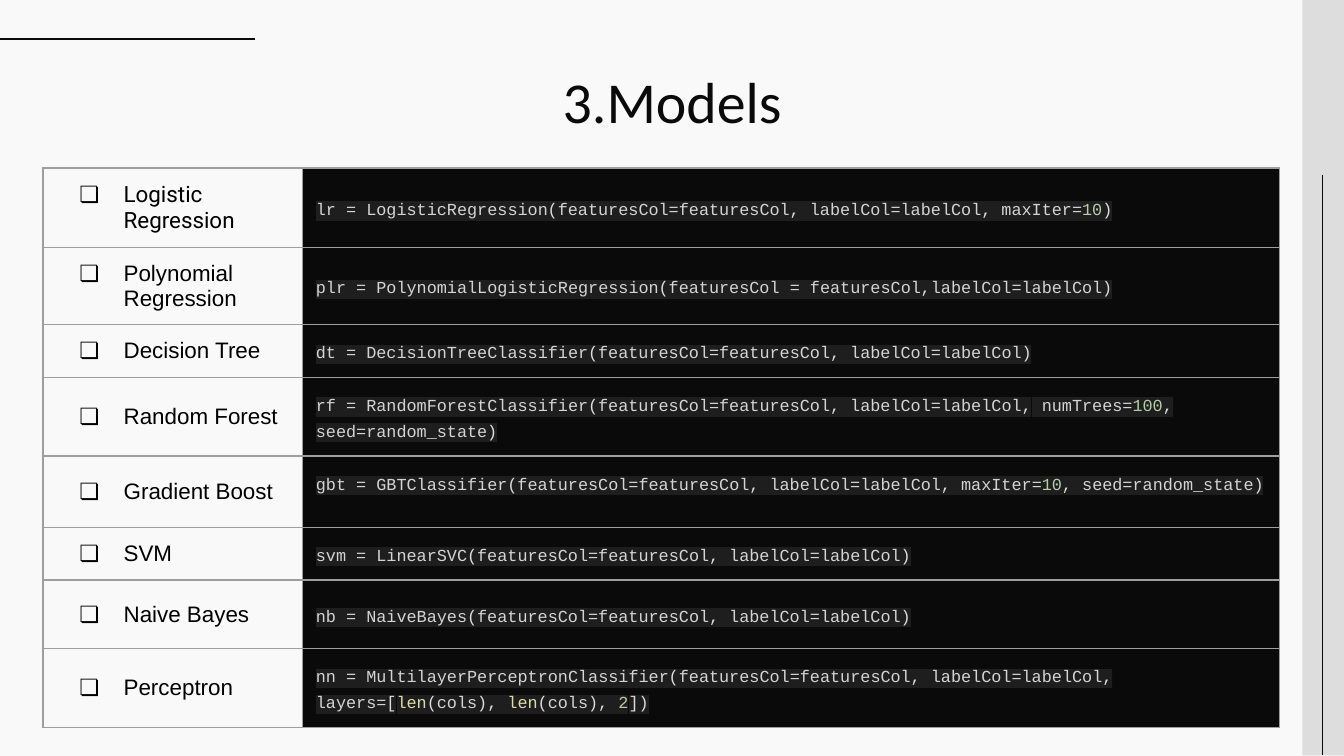
import itertools

import pptx
import pptx.dml.color
import pptx.enum.shapes
import pptx.enum.text
import pptx.oxml
import pptx.util

Inches = pptx.util.Inches
Anchor = pptx.enum.text.MSO_ANCHOR
NS = 'xmlns:a="http://schemas.openxmlformats.org/drawingml/2006/main"'

INK, BLACK, PALE, BAND, RULE = "0A0A0A", "000000", "F9F9F9", "DDDDDD", "9E9E9E"
CODE, MARK, NUMBER, CALL, SHADE = "D4D4D4", "DCDCDC", "B5CEA8", "DCDCAA", "1E1E1E"

# label, code, row height
MODELS = [
    ("Logistic Regression",
     "lr = LogisticRegression(featuresCol=featuresCol, labelCol=labelCol, maxIter=10)", 0.59),
    ("Polynomial Regression",
     "plr = PolynomialLogisticRegression(featuresCol = featuresCol,labelCol=labelCol)", 0.57),
    ("Decision Tree",
     "dt = DecisionTreeClassifier(featuresCol=featuresCol, labelCol=labelCol)", 0.39),
    ("Random Forest",
     "rf = RandomForestClassifier(featuresCol=featuresCol, labelCol=labelCol, "
     "numTrees=100, seed=random_state)", 0.58),
    ("Gradient Boost",
     "gbt = GBTClassifier(featuresCol=featuresCol, labelCol=labelCol, "
     "maxIter=10, seed=random_state)", 0.53),
    ("SVM", "svm = LinearSVC(featuresCol=featuresCol, labelCol=labelCol)", 0.39),
    ("Naive Bayes", "nb = NaiveBayes(featuresCol=featuresCol, labelCol=labelCol)", 0.51),
    ("Perceptron",
     "nn = MultilayerPerceptronClassifier(featuresCol=featuresCol, labelCol=labelCol, "
     "layers=[len(cols), len(cols), 2])", 0.58),
]


def color(value):
    return pptx.dml.color.RGBColor.from_string(value)


def node(xml):
    """Parse one element whose root opens with {ns}."""
    return pptx.oxml.parse_xml(xml.replace("{ns}", NS))


def kind(char):
    """Colour of a code character."""
    if char in "(),[]":
        return MARK
    return NUMBER if char.isdigit() else CODE


def tokens(code):
    """Split code into (text, colour) pieces."""
    for hue, chars in itertools.groupby(code, kind):
        text = "".join(chars)
        yield text, CALL if text.strip() == "len" else hue


class Deck:
    def __init__(self):
        self.show = pptx.Presentation()
        self.show.slide_width = Inches(10)
        self.show.slide_height = Inches(10) * 9 // 16
        self.slide = self.show.slides.add_slide(self.show.slide_layouts[5])
        self.slide.background.fill.solid()
        self.slide.background.fill.fore_color.rgb = color(PALE)

    def run(self, para, text, face, size, hue):
        run = para.add_run()
        run.text = text
        run.font.name = face
        run.font.size = pptx.util.Pt(size)
        run.font.color.rgb = color(hue)
        return run

    def title(self, text, left, top, width, height):
        title = self.slide.shapes.title
        title.left, title.top = Inches(left), Inches(top)
        title.width, title.height = Inches(width), Inches(height)
        frame = title.text_frame
        frame.auto_size = pptx.enum.text.MSO_AUTO_SIZE.NONE
        frame.vertical_anchor = Anchor.TOP
        frame.margin_left = frame.margin_right = Inches(0.1)
        frame.margin_top = frame.margin_bottom = Inches(0.1)
        para = frame.paragraphs[0]
        para.alignment = pptx.enum.text.PP_ALIGN.CENTER
        self.run(para, text, "Calibri", 31, INK)

    def band(self, left, top, width, height):
        box = self.slide.shapes.add_shape(
            pptx.enum.shapes.MSO_SHAPE.RECTANGLE,
            Inches(left), Inches(top), Inches(width), Inches(height))
        box.shadow.inherit = False
        box.fill.solid()
        box.fill.fore_color.rgb = color(BAND)
        box.line.fill.background()

    def line(self, *ends):
        line = self.slide.shapes.add_connector(
            pptx.enum.shapes.MSO_CONNECTOR.STRAIGHT, *map(Inches, ends))
        line.line.color.rgb = color(INK)
        line.line.width = pptx.util.Pt(0.75)
        line._element.spPr.append(node("<a:effectLst {ns}/>"))

    def cell(self, cell, anchor):
        """Set margins, anchor and borders; return the first paragraph."""
        cell.margin_left = cell.margin_right = Inches(0.1)
        cell.margin_top = cell.margin_bottom = Inches(0.1)
        cell.vertical_anchor = anchor
        props = cell._tc.get_or_add_tcPr()
        for side in ("lnL", "lnR", "lnT", "lnB"):
            props.append(node(
                f'<a:{side} {{ns}} w="{pptx.util.Pt(0.75)}"><a:solidFill>'
                f'<a:srgbClr val="{RULE}"/></a:solidFill></a:{side}>'))
        return cell.text_frame.paragraphs[0]

    def label(self, cell, text, face, anchor):
        para = self.cell(cell, anchor)
        cell.fill.background()
        props = para._p.get_or_add_pPr()
        props.set("marL", str(Inches(0.5)))
        props.set("indent", str(Inches(-0.33)))
        props.append(node(f'<a:buClr {{ns}}><a:srgbClr val="{BLACK}"/></a:buClr>'))
        props.append(node('<a:buSzPts {ns} val="1200"/>'))
        props.append(node(f'<a:buFont {{ns}} typeface="{face}"/>'))
        props.append(node('<a:buChar {ns} char="❏"/>'))
        self.run(para, text, face, 12, BLACK)

    def code(self, cell, text, anchor):
        para = self.cell(cell, anchor)
        cell.fill.solid()
        cell.fill.fore_color.rgb = color(INK)
        para.line_spacing = 1.36
        for piece, hue in tokens(text):
            run = self.run(para, piece, "Courier New", 9, hue)
            fill = run._r.rPr.find(pptx.oxml.ns.qn("a:solidFill"))
            fill.addnext(node(
                f'<a:highlight {{ns}}><a:srgbClr val="{SHADE}"/></a:highlight>'))

    def table(self, left, top, widths, models):
        high = sum(height for _, _, height in models)
        table = self.slide.shapes.add_table(
            len(models), len(widths), Inches(left), Inches(top),
            Inches(sum(widths)), Inches(high)).table
        table.first_row = table.horz_banding = False
        for column, width in zip(table.columns, widths):
            column.width = Inches(width)
        for row, (name, code, height) in zip(table.rows, models):
            row.height = Inches(height)
            face = "Roboto" if name == "Logistic Regression" else "Arial"
            upper = name in ("Polynomial Regression", "Decision Tree")
            self.label(row.cells[0], name, face, Anchor.TOP if upper else Anchor.MIDDLE)
            upper = name == "Gradient Boost"
            self.code(row.cells[1], code, Anchor.TOP if upper else Anchor.MIDDLE)


def main():
    deck = Deck()
    deck.band(9.69, 0, 0.31, 5.62)
    deck.line(1.9, 0.29, 0, 0.29)
    deck.line(9.84, 1.3, 9.84, 5.62)
    deck.title("3.Models", 0.78, 0.39, 8.44, 0.6)
    deck.table(0.32, 1.25, (1.93, 7.27), MODELS)
    deck.show.save("out.pptx")


if __name__ == "__main__":
    main()
